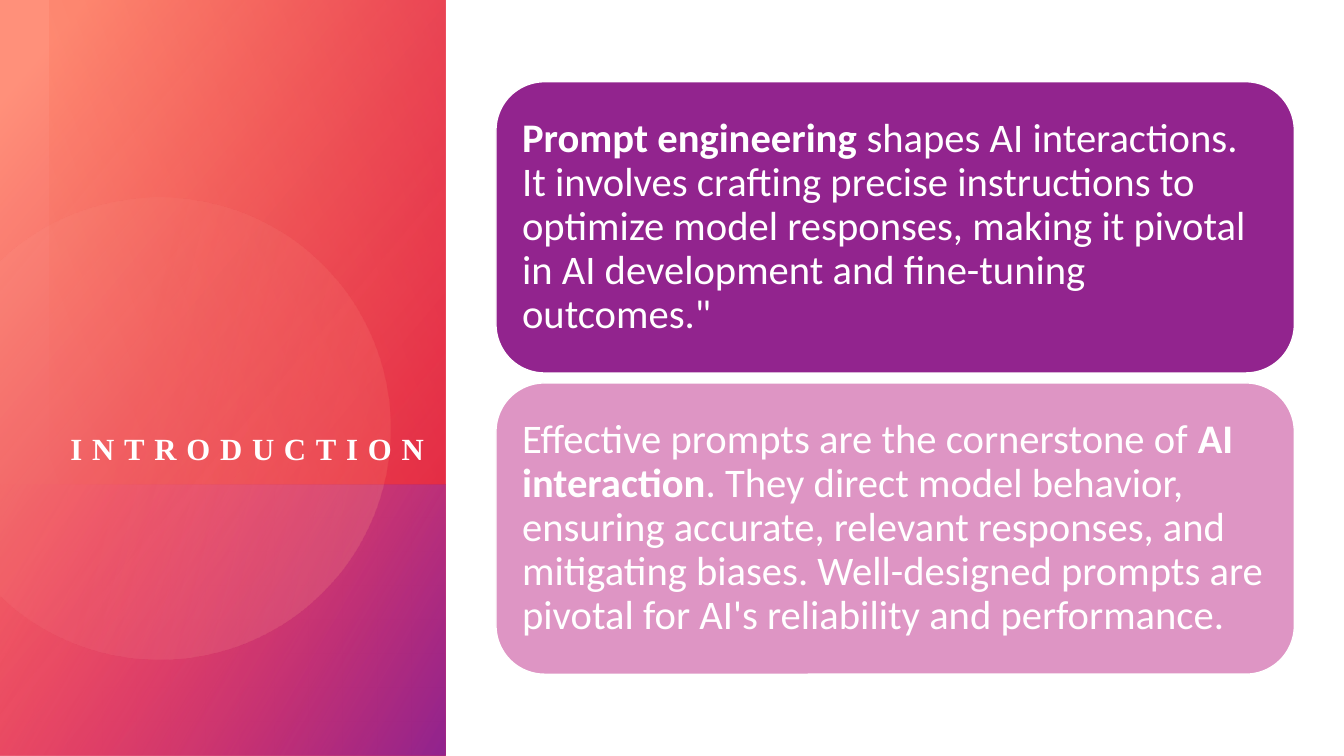
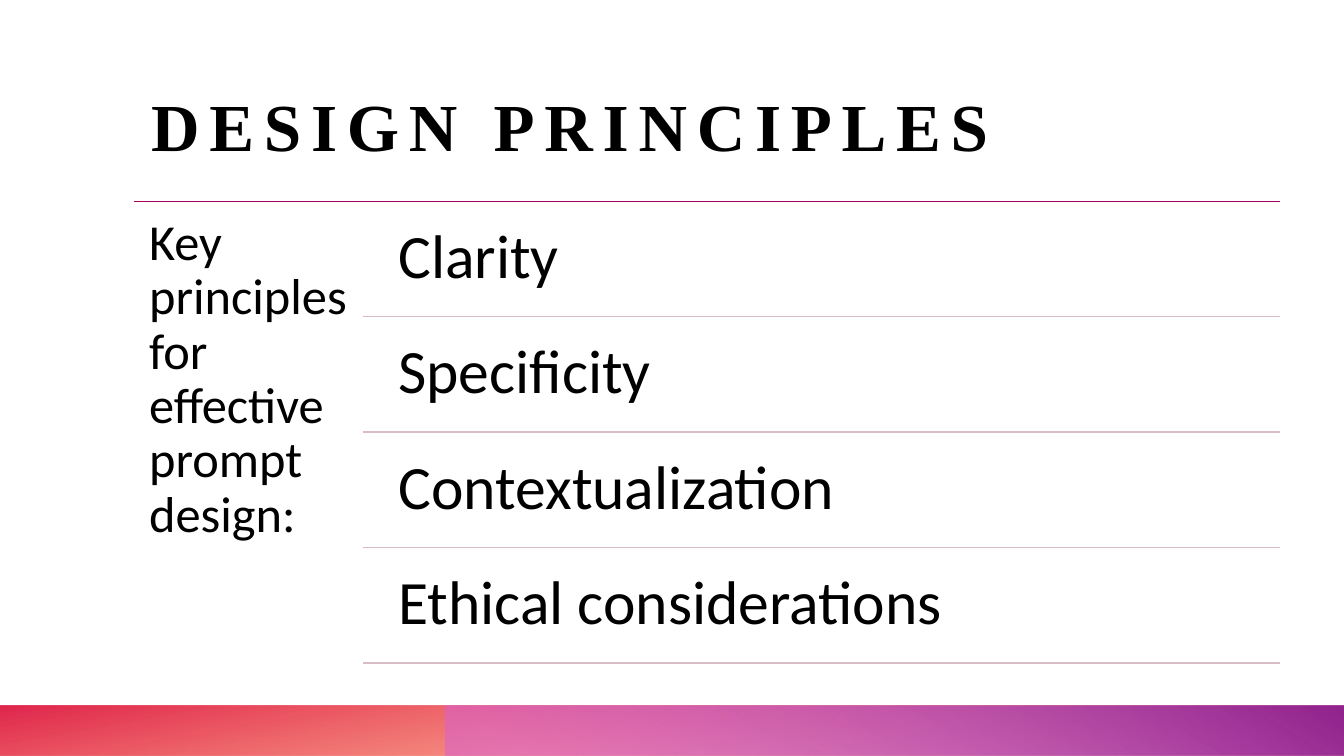
import math

from pptx import Presentation
from pptx.dml import color
from pptx.enum import shapes, text
from pptx.oxml import ns
from pptx.util import Cm, Pt
from lxml import etree

SLIDE_W, SLIDE_H = 33.87, 19.05
PANEL_W = 11.23
PANEL_SPLIT = 12.22
FOOTER_TOP = 17.78
CONTENT_RIGHT = 32.26

WHITE, BLACK = "FFFFFF", "000000"
PURPLE, PINK = "92248E", "DE95C4"
RED, ORANGE, CORAL = "DA002F", "FE4A00", "FF907A"
RULE, SOFT_RULE = "A6025C", "D8BDC4"
TITLE_FONT, BODY_FONT = "Times New Roman", "Calibri"

CARDS = [
    (PURPLE, [
        ("Prompt engineering", True),
        (" shapes AI interactions. It involves crafting precise instructions to "
         "optimize model responses, making it pivotal in AI development and "
         "fine-tuning outcomes.\"", False),
    ]),
    (PINK, [
        ("Effective prompts are the cornerstone of", False),
        (" AI interaction", True),
        (". They direct model behavior, ensuring accurate, relevant responses, and "
         "mitigating biases. Well-designed prompts are pivotal for AI's reliability "
         "and performance.", False),
    ]),
]
PRINCIPLES = ["Clarity", "Specificity", "Contextualization", "Ethical considerations"]


def rgb(value):
    return color.RGBColor.from_string(value)


def fill_gradient(shape, stops, angle):
    shape.shadow.inherit = False
    shape.fill.gradient()
    shape.fill.gradient_angle = 360 - angle
    for stop, (position, hue, _) in zip(shape.fill.gradient_stops, stops):
        stop.position = position / 100
        stop.color.rgb = rgb(hue)
    hues = shape.element.spPr.iter(ns.qn("a:srgbClr"))
    for hue, (_, _, opacity) in zip(hues, stops):
        etree.SubElement(hue, ns.qn("a:alpha")).set("val", str(opacity * 1000))
    shape.line.fill.background()


def add_gradient_band(slide, left, top, width, height, stops, angle, turn=0):
    band_w, band_h = (height, width) if turn % 180 else (width, height)
    band = slide.shapes.add_shape(
        shapes.MSO_SHAPE.RECTANGLE,
        Cm(left + (width - band_w) / 2), Cm(top + (height - band_h) / 2),
        Cm(band_w), Cm(band_h))
    fill_gradient(band, stops, angle)
    band.rotation = turn
    band.element.spPr.xfrm.set("flipH", "1")


def add_clipped_circle(slide, center_x, center_y, radius, stops, angle):
    reach = math.acos(-center_x / radius)
    steps = 120
    arc = []
    for step in range(steps + 1):
        theta = reach * (2 * step / steps - 1)
        arc.append((Cm(center_x + radius * math.cos(theta)),
                    Cm(center_y + radius * math.sin(theta))))
    outline = slide.shapes.build_freeform(*arc[0])
    outline.add_line_segments(arc[1:], close=True)
    fill_gradient(outline.convert_to_shape(), stops, angle)


def set_frame(frame, inset, anchor):
    frame.word_wrap = True
    frame.vertical_anchor = anchor
    frame.margin_left = frame.margin_right = Cm(inset)
    frame.margin_top = frame.margin_bottom = Cm(inset)
    return frame.paragraphs[0]


def style(paragraph, font_name, size, hue):
    paragraph.font.name = font_name
    paragraph.font.size = Pt(size)
    paragraph.font.color.rgb = rgb(hue)


def add_title(slide, left, top, width, height, wording, size, hue, align):
    title = slide.shapes.add_textbox(Cm(left), Cm(top), Cm(width), Cm(height))
    heading = set_frame(title.text_frame, 0, text.MSO_ANCHOR.BOTTOM)
    heading.alignment = align
    style(heading, TITLE_FONT, size, hue)
    heading.font.bold = True
    run = heading.add_run()
    run.text = wording
    run.font._element.set("spc", "700")


def add_body(slide, left, top, width, height, wording, size, inset):
    body = slide.shapes.add_textbox(Cm(left), Cm(top), Cm(width), Cm(height))
    paragraph = set_frame(body.text_frame, inset, text.MSO_ANCHOR.TOP)
    paragraph.text = wording
    paragraph.line_spacing = 0.9
    style(paragraph, BODY_FONT, size, BLACK)


def add_card(slide, left, top, width, height, hue, wording):
    card = slide.shapes.add_shape(
        shapes.MSO_SHAPE.ROUNDED_RECTANGLE, Cm(left), Cm(top), Cm(width), Cm(height))
    card.shadow.inherit = False
    card.fill.solid()
    card.fill.fore_color.rgb = rgb(hue)
    card.line.color.rgb = rgb(WHITE)
    card.line.width = Pt(1)
    paragraph = set_frame(card.text_frame, 0.3, text.MSO_ANCHOR.MIDDLE)
    paragraph.alignment = text.PP_ALIGN.LEFT
    paragraph.line_spacing = 0.9
    style(paragraph, BODY_FONT, 29, WHITE)
    for part, bold in wording:
        run = paragraph.add_run()
        run.text = part
        run.font.bold = bold


def add_rule(slide, left, top, hue):
    rule = slide.shapes.add_connector(
        shapes.MSO_CONNECTOR.STRAIGHT, Cm(left), Cm(top), Cm(CONTENT_RIGHT), Cm(top))
    rule.line.color.rgb = rgb(hue)
    rule.line.width = Pt(1)
    etree.SubElement(rule.element.spPr, ns.qn("a:effectLst"))


def add_side_panel(slide):
    add_gradient_band(slide, 0, 0, PANEL_W, SLIDE_H,
                      [(8, CORAL, 100), (100, RED, 89)], 50, 270)
    add_gradient_band(slide, 0, PANEL_SPLIT, PANEL_W, SLIDE_H - PANEL_SPLIT,
                      [(0, "FF5076", 0), (99, PURPLE, 100)], 60, 270)
    add_clipped_circle(slide, 4.03, 10.79, 5.82,
                       [(36, "FFBCAF", 6), (100, CORAL, 26)], 14)
    add_gradient_band(slide, 1.26, 0, PANEL_W - 1.26, PANEL_SPLIT,
                      [(0, RED, 29), (100, ORANGE, 0)], 110, 90)


def add_footer(slide):
    height = SLIDE_H - FOOTER_TOP
    add_gradient_band(slide, 0, FOOTER_TOP, SLIDE_W, height,
                      [(14, ORANGE, 28), (100, RED, 85)], 100, 180)
    add_gradient_band(slide, PANEL_W, FOOTER_TOP, SLIDE_W - PANEL_W, height,
                      [(9, "D861D4", 55), (99, PURPLE, 100)], 240)


def build_introduction(slide):
    add_side_panel(slide)
    add_title(slide, 1.27, 2.41, 9.42, 9.35, "INTRODUCTION", 22, WHITE,
              text.PP_ALIGN.RIGHT)
    for index, (hue, wording) in enumerate(CARDS):
        add_card(slide, 12.5, 2.06 + index * 7.59, 20.12, 7.34, hue, wording)


def build_principles(slide):
    add_footer(slide)
    add_title(slide, 3.81, 1.3, 28.45, 2.87, "DESIGN PRINCIPLES", 48, BLACK,
              text.PP_ALIGN.LEFT)
    add_rule(slide, 3.38, 5.08, RULE)
    add_body(slide, 3.38, 5.08, 5.77, 11.79,
             "Key principles for effective prompt design:", 36, 0.38)
    row_h, pitch = 2.77, 2.91
    for index, principle in enumerate(PRINCIPLES):
        top = 5.21 + index * pitch
        add_body(slide, 9.58, top, CONTENT_RIGHT - 9.58, row_h, principle, 44, 0.46)
        add_rule(slide, 9.14, top + row_h, SOFT_RULE)


def main():
    deck = Presentation()
    deck.slide_width, deck.slide_height = Cm(SLIDE_W), Cm(SLIDE_H)
    blank = deck.slide_layouts[6]
    for build in (build_introduction, build_principles):
        build(deck.slides.add_slide(blank))
    deck.save("out.pptx")


if __name__ == "__main__":
    main()
